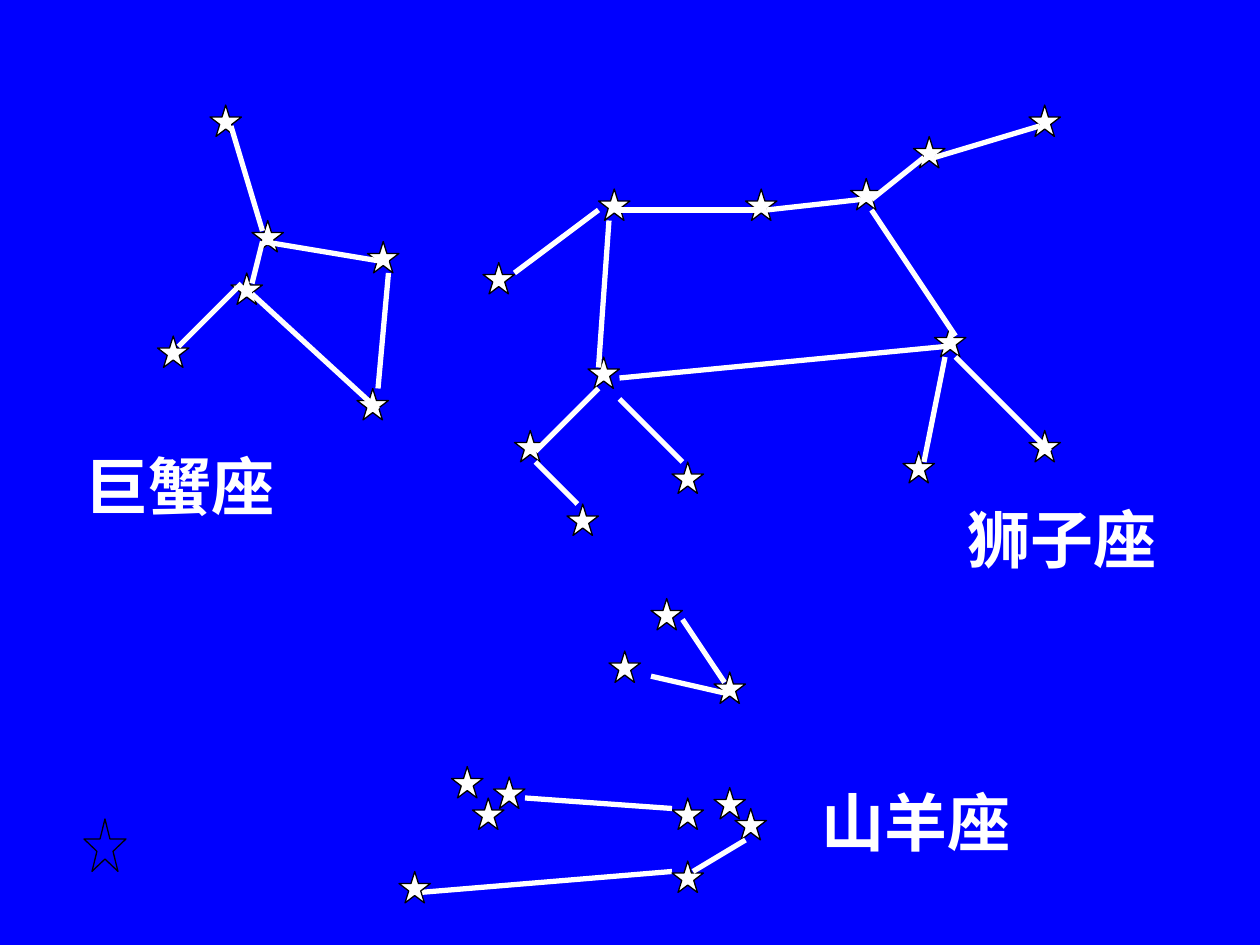
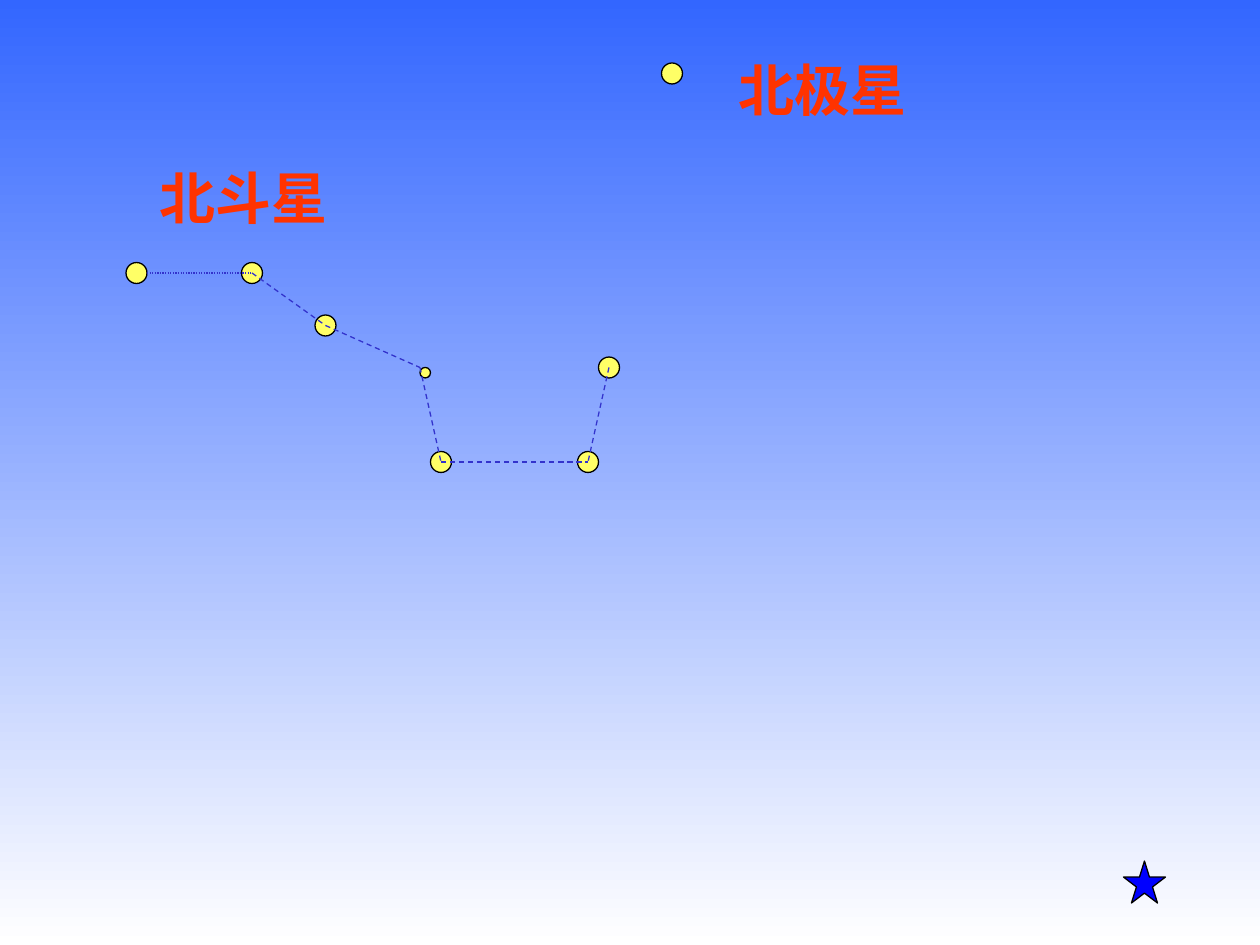
from dataclasses import dataclass
from typing import NamedTuple

from lxml import etree
from pptx import Presentation, util as u
from pptx.dml.color import RGBColor
from pptx.enum import dml, shapes, text
from pptx.oxml import ns

WHITE = RGBColor(0xFF, 0xFF, 0xFF)
BLACK = RGBColor(0x00, 0x00, 0x00)
NIGHT_BLUE = RGBColor(0x00, 0x00, 0xFF)
SKY_BLUE = RGBColor(0x33, 0x66, 0xFF)
STAR_YELLOW = RGBColor(0xFF, 0xFF, 0x66)
DIPPER_BLUE = RGBColor(0x33, 0x33, 0xCC)
NAME_RED = RGBColor(0xFF, 0x33, 0x00)

STEPS_PER_INCH = 12
STAR = shapes.MSO_SHAPE.STAR_5_POINT
DOT = shapes.MSO_SHAPE.OVAL
DASH = dml.MSO_LINE.DASH


class Segment(NamedTuple):
    x1: float
    y1: float
    x2: float
    y2: float


class Label(NamedTuple):
    wording: str
    left: float
    top: float
    width: float
    height: float


@dataclass(frozen=True)
class Constellation:
    name: Label
    stars: list[tuple[int, int]]
    lines: list[Segment]
    lines_behind: tuple[Segment, ...] = ()


FONT = {"name": "Times New Roman", "bold": True}
CONSTELLATION_FONT = {**FONT, "size": u.Pt(36)}
POLE_FONT = {**FONT, "size": u.Pt(32)}

CANCER = Constellation(
    Label("巨蟹座", 0.58, 3.5, 2.25, 0.7),
    [(20, 10), (35, 23), (15, 32), (34, 37), (24, 21), (22, 26)],
    [
        Segment(22, 12, 25, 22),
        Segment(25, 23, 24, 27),
        Segment(25, 23, 37, 25),
        Segment(24, 28, 36, 39),
        Segment(37, 26, 36, 37),
        Segment(23, 27, 17, 33),
    ],
)
LEO = Constellation(
    Label("狮子座", 7.58, 3.92, 2.08, 0.7),
    [
        (49, 41), (64, 44), (54, 48), (86, 43), (98, 41), (89, 31), (56, 34),
        (46, 25), (57, 18), (71, 18), (81, 17), (87, 13), (98, 10),
    ],
    [
        Segment(59, 20, 72, 20),
        Segment(83, 20, 91, 32),
        Segment(58, 21, 57, 35),
        Segment(59, 36, 90, 33),
        Segment(83, 19, 88, 15),
        Segment(89, 15, 99, 12),
        Segment(73, 20, 82, 19),
        Segment(59, 38, 65, 44),
        Segment(51, 44, 55, 48),
        Segment(51, 43, 57, 37),
        Segment(91, 34, 100, 43),
        Segment(49, 26, 57, 20),
        Segment(88, 44, 90, 34),
    ],
)
CAPRICORN = Constellation(
    Label("山羊座", 6.42, 6.17, 2.42, 0.7),
    [
        (47, 74), (68, 75), (45, 76), (70, 77), (64, 76), (43, 73),
        (38, 83), (64, 82), (68, 64), (58, 62), (62, 57),
    ],
    [
        Segment(66, 83, 71, 80),
        Segment(62, 64.4, 69, 66),
        Segment(65, 59, 69, 65),
        Segment(50, 76, 64, 77),
    ],
    (Segment(40, 85, 64, 83),),
)

POLE_LABELS = [Label("北极星", 5.76, 0.39, 1.6, 0.64), Label("北斗星", 1.17, 1.25, 1.6, 0.64)]
DIPPER_STARS = [(12, 25), (23, 25), (30, 30), (57, 34), (55, 43), (41, 43)]
DIPPER_HANDLE_END = Segment(14, 26, 24, 26)
DIPPER_LINES = [
    Segment(24, 26, 31, 31),
    Segment(31, 31, 40, 35),
    Segment(40, 35, 42, 44),
    Segment(42, 44, 56, 44),
    Segment(58, 35, 56, 44),
]


def steps(count: float) -> u.Inches:
    return u.Inches(count / STEPS_PER_INCH)


def draw_body(parent, kind, x: float, y: float, width: float, height: float,
              colour: RGBColor) -> None:
    body = parent.shapes.add_shape(kind, *map(steps, (x, y, width, height)))
    body.shadow.inherit = False
    body.fill.solid()
    body.fill.fore_color.rgb = colour
    body.line.color.rgb = BLACK
    body.line.width = u.Pt(0.75)


def draw_segment(slide, segment: Segment, colour: RGBColor, width: float, dash=None) -> None:
    link = slide.shapes.add_connector(shapes.MSO_CONNECTOR.STRAIGHT, *map(steps, segment))
    link.line.color.rgb = colour
    link.line.width = u.Pt(width)
    if dash is not None:
        link.line.dash_style = dash
    etree.SubElement(link._element.spPr, ns.qn("a:effectLst"))


def draw_label(slide, label: Label, font: dict, colour: RGBColor) -> None:
    box = slide.shapes.add_textbox(*map(u.Inches, label[1:]))
    frame = box.text_frame
    frame.word_wrap = True
    frame.auto_size = text.MSO_AUTO_SIZE.SHAPE_TO_FIT_TEXT
    run = frame.paragraphs[0].add_run()
    run.text = label.wording
    for attribute, value in font.items():
        setattr(run.font, attribute, value)
    run.font.color.rgb = colour


def draw_constellation(slide, constellation: Constellation) -> None:
    for segment in constellation.lines_behind:
        draw_segment(slide, segment, WHITE, 3)
    for x, y in constellation.stars:
        draw_body(slide, STAR, x, y, 3, 3, WHITE)
    for segment in constellation.lines:
        draw_segment(slide, segment, WHITE, 3)
    draw_label(slide, constellation.name, CONSTELLATION_FONT, WHITE)


def build_constellations(slide) -> None:
    sky = slide.background.fill
    sky.solid()
    sky.fore_color.rgb = NIGHT_BLUE
    for constellation in (CANCER, LEO, CAPRICORN):
        draw_constellation(slide, constellation)
    draw_body(slide, STAR, 8, 78, 4, 5, NIGHT_BLUE)


def build_pole_star(slide) -> None:
    sky = slide.background.fill
    sky.gradient()
    sky.gradient_angle = 270
    for stop, colour, position in zip(sky.gradient_stops, (SKY_BLUE, WHITE), (0, 1)):
        stop.color.rgb = colour
        stop.position = position
    dipper = slide.shapes.add_group_shape()
    for x, y in DIPPER_STARS:
        draw_body(dipper, DOT, x, y, 2, 2, STAR_YELLOW)
    draw_body(dipper, DOT, 40, 35, 1, 1, STAR_YELLOW)
    draw_body(slide, DOT, 63, 6, 2, 2, STAR_YELLOW)
    for label in POLE_LABELS:
        draw_label(slide, label, POLE_FONT, NAME_RED)
    draw_segment(slide, DIPPER_HANDLE_END, DIPPER_BLUE, 0.75, dml.MSO_LINE.ROUND_DOT)
    for segment in DIPPER_LINES:
        draw_segment(slide, segment, DIPPER_BLUE, 0.75, DASH)
    draw_body(slide, STAR, 107, 82, 4, 4, NIGHT_BLUE)


def main() -> None:
    deck = Presentation()
    deck.slide_width, deck.slide_height = u.Inches(10), u.Inches(7.5)
    blank = deck.slide_layouts[6]
    for build in (build_constellations, build_pole_star):
        build(deck.slides.add_slide(blank))
    deck.save("out.pptx")


if __name__ == "__main__":
    main()
